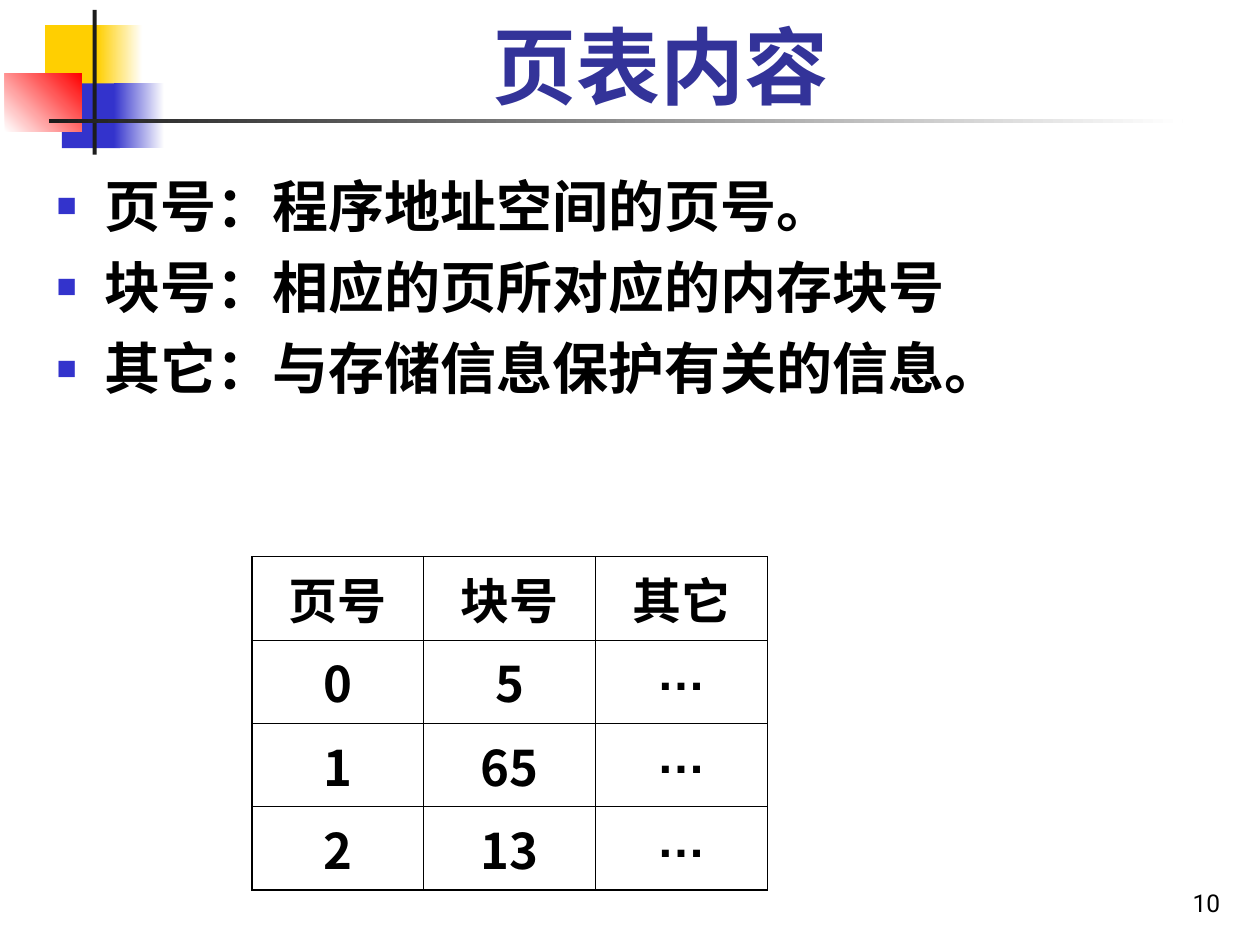
from lxml.etree import SubElement
from pptx import Presentation
from pptx.dml.color import RGBColor
from pptx.enum.shapes import MSO_SHAPE
from pptx.enum.text import MSO_ANCHOR, MSO_AUTO_SIZE, PP_ALIGN
from pptx.oxml.ns import qn
from pptx.util import Cm, Pt

COLORS = {
    "yellow": "FFCF01", "blue": "3333CC", "red": "FF0000", "white": "FFFFFF",
    "dark": "1C1C1C", "title": "333399", "text": "000000",
}
CJK_FONT = "Noto Sans CJK SC"
BULLETS = [
    "页号：程序地址空间的页号。",
    "块号：相应的页所对应的内存块号",
    "其它：与存储信息保护有关的信息。",
]
PAGE_TABLE = [
    ["页号", "块号", "其它"],
    ["0", "5", "…"],
    ["1", "65", "…"],
    ["2", "13", "…"],
]
DECORATIONS = [
    ((0.91, 0.51, 1.22, 1.32), ["yellow"], 0),
    ((1.96, 0.51, 0.91, 1.32), ["yellow", "white"], 0),
    ((1.25, 1.68, 1.17, 1.31), ["blue"], 0),
    ((2.29, 1.68, 1.02, 1.31), ["blue", "white"], 0),
    ((0.1, 1.48, 1.55, 1.17), ["white", "red"], 45),
    ((1.87, 0.2, 0.08, 2.92), ["dark"], 0),
    ((0.98, 2.4, 22.86, 0.09), ["dark", "white"], 0),
]


def rgb(name):
    """Return the named colour."""
    return RGBColor.from_string(COLORS[name])


def style_paragraph(paragraph, size, color="text", bold=True, font=CJK_FONT,
                    alignment=PP_ALIGN.CENTER):
    """Set the alignment and font of a paragraph."""
    paragraph.alignment = alignment
    paragraph.font.size = Pt(size)
    paragraph.font.bold = bold
    paragraph.font.color.rgb = rgb(color)
    paragraph.font.name = font
    properties = paragraph._p.pPr.find(qn("a:defRPr"))
    SubElement(properties, qn("a:ea"), typeface=CJK_FONT)


def add_bullet(paragraph):
    """Give a paragraph a hanging square bullet."""
    properties = paragraph._p.get_or_add_pPr()
    properties.set("marL", str(Cm(0.96)))
    properties.set("indent", str(-Cm(0.96)))
    bullet_color = SubElement(properties, qn("a:buClr"))
    SubElement(bullet_color, qn("a:srgbClr"), val=COLORS["blue"])
    SubElement(properties, qn("a:buSzPct"), val="60000")
    SubElement(properties, qn("a:buFont"), typeface="Arial")
    SubElement(properties, qn("a:buChar"), char="■")


def place(shape, left, top, width, height):
    """Move and size a shape in centimetres."""
    shape.left, shape.top = Cm(left), Cm(top)
    shape.width, shape.height = Cm(width), Cm(height)


def add_decoration(slide, box, colors, angle):
    """Add a borderless rectangle with a plain or gradient fill."""
    shape = slide.shapes.add_shape(MSO_SHAPE.RECTANGLE, *map(Cm, box))
    shape.shadow.inherit = False
    shape.line.fill.background()
    if len(colors) == 1:
        shape.fill.solid()
        shape.fill.fore_color.rgb = rgb(colors[0])
        return
    shape.fill.gradient()
    shape.fill.gradient_angle = angle
    for stop, color in zip(shape.fill.gradient_stops, colors):
        stop.color.rgb = rgb(color)


def add_page_number(slide, number):
    """Add the page number at the bottom right."""
    box = slide.shapes.add_textbox(Cm(19.57), Cm(17.34), Cm(5.28), Cm(1.27))
    frame = box.text_frame
    frame.word_wrap = True
    frame.vertical_anchor = MSO_ANCHOR.BOTTOM
    frame.text = number
    style_paragraph(frame.paragraphs[0], 14, bold=False, font="Roboto",
                    alignment=PP_ALIGN.RIGHT)


def fill_title(title, text):
    """Place and fill the title."""
    place(title, 2.49, 0.33, 21.64, 2.13)
    frame = title.text_frame
    frame.auto_size = MSO_AUTO_SIZE.NONE
    frame.vertical_anchor = MSO_ANCHOR.BOTTOM
    frame.text = text
    style_paragraph(frame.paragraphs[0], 48, "title")


def fill_body(body, lines):
    """Place and fill the bulleted list."""
    place(body, 0.89, 3.33, 23.98, 14.2)
    frame = body.text_frame
    frame.auto_size = MSO_AUTO_SIZE.NONE
    frame.text = "\n".join(lines)
    for index, paragraph in enumerate(frame.paragraphs):
        add_bullet(paragraph)
        paragraph.space_before = Pt(8 if index else 0)
        style_paragraph(paragraph, 32, alignment=PP_ALIGN.JUSTIFY)


def set_borders(cell, thick_sides):
    """Draw thick lines on the chosen sides of a cell and thin ones elsewhere."""
    properties = cell._tc.get_or_add_tcPr()
    for side, is_thick in thick_sides.items():
        width = Pt(1.08 if is_thick else 0.45)
        line = SubElement(properties, qn(f"a:ln{side}"), w=str(width))
        fill = SubElement(line, qn("a:solidFill"))
        SubElement(fill, qn("a:srgbClr"), val=COLORS["text"])


def add_page_table(slide, rows):
    """Add the page table."""
    last_row = len(rows) - 1
    table = slide.shapes.add_table(len(rows), len(rows[0]), Cm(5.08), Cm(11.22),
                                   Cm(10.38), Cm(6.72)).table
    table.first_row = table.horz_banding = False
    for row, texts in enumerate(rows):
        for column, text in enumerate(texts):
            cell = table.cell(row, column)
            set_borders(cell, {"L": column == 0, "R": False,
                               "T": False, "B": row == last_row})
            cell.fill.background()
            cell.text = text
            style_paragraph(cell.text_frame.paragraphs[0], 28,
                            font="Arial" if text == "…" else CJK_FONT)


def main():
    """Build and save the slide."""
    presentation = Presentation()
    presentation.slide_width, presentation.slide_height = Cm(25.4), Cm(19.05)
    slide = presentation.slides.add_slide(presentation.slide_layouts[1])
    for box, colors, angle in DECORATIONS:
        add_decoration(slide, box, colors, angle)
    add_page_number(slide, "10")
    fill_title(slide.shapes.title, "页表内容")
    fill_body(slide.placeholders[1], BULLETS)
    add_page_table(slide, PAGE_TABLE)
    presentation.save("out.pptx")


if __name__ == "__main__":
    main()
